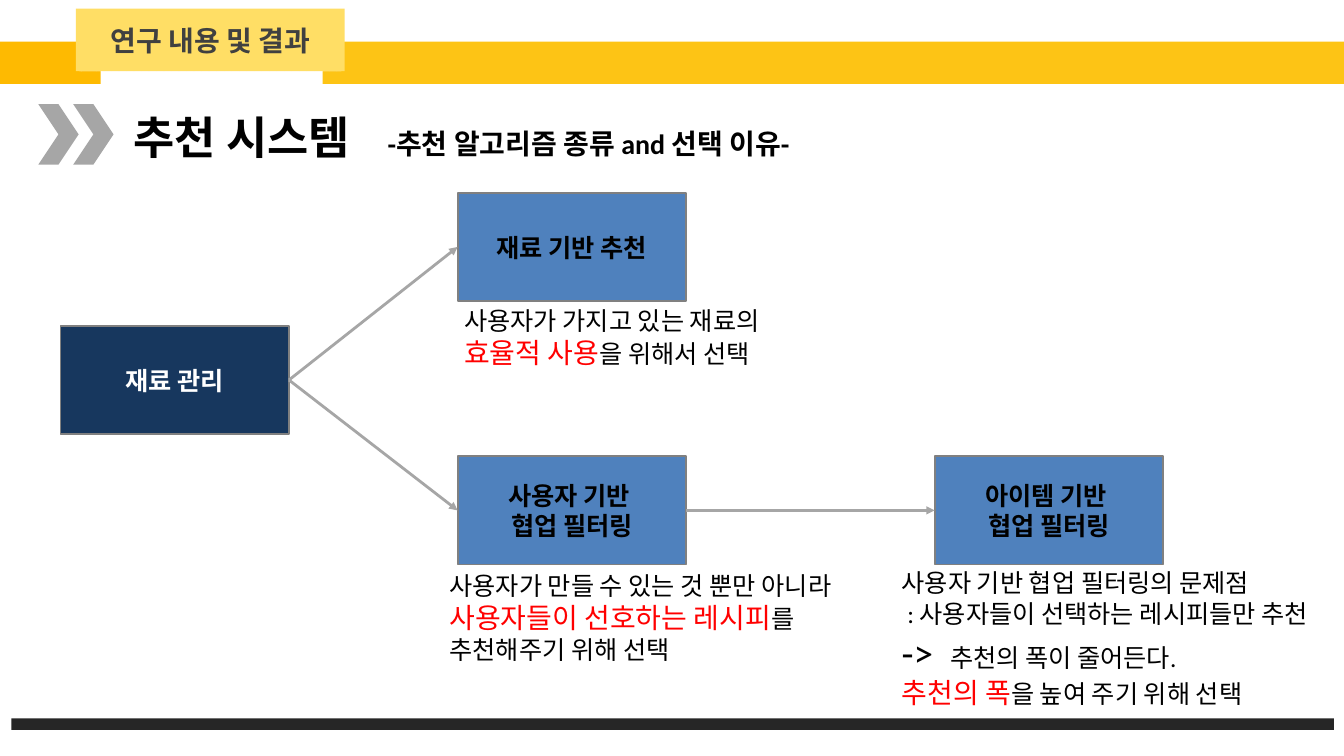
from dataclasses import dataclass

from lxml.etree import SubElement
from pptx import Presentation
from pptx.dml.color import RGBColor
from pptx.enum.dml import MSO_PATTERN_TYPE as Pattern
from pptx.enum.shapes import MSO_CONNECTOR as Connector, MSO_SHAPE as Shape
from pptx.enum.text import MSO_ANCHOR as Anchor, PP_ALIGN as Align
from pptx.oxml.ns import qn
from pptx.util import Inches, Pt

FONT = "Calibri"
BLACK, WHITE, RED = "000000", "FFFFFF", "FF0000"
GREY, BORDER, BLUE, NAVY = "A6A6A6", "808080", "4F81BD", "17375E"
LEFT, RIGHT = 1, 3


@dataclass
class Box:
    left: float
    top: float
    width: float
    height: float

    def lengths(self) -> list:
        return [Inches(v) for v in (self.left, self.top, self.width, self.height)]


@dataclass
class Step:
    label: str
    left: float
    top: float
    fill: str = BLUE
    color: str = BLACK


@dataclass
class Phrase:
    text: str
    size: float = 27
    color: str = BLACK
    bold: bool = False


@dataclass
class Note:
    box: Box
    phrases: list[Phrase]
    tab: float = 0


def rgb(value: str) -> RGBColor:
    return RGBColor.from_string(value)


def set_font(run, size: float, color: str, bold: bool) -> None:
    run.font.name = FONT
    run.font.size = Pt(size)
    run.font.bold = bold
    run.font.color.rgb = rgb(color)


def add_block(shapes, box: Box, fill: str, kind=Shape.RECTANGLE):
    block = shapes.add_shape(kind, *box.lengths())
    block.shadow.inherit = False
    block.fill.solid()
    block.fill.fore_color.rgb = rgb(fill)
    block.line.fill.background()
    return block


def add_label(block, text: str, size: float, color: str) -> None:
    frame = block.text_frame
    frame.word_wrap = True
    frame.vertical_anchor = Anchor.MIDDLE
    label = frame.paragraphs[0]
    label.text = text
    label.alignment = Align.CENTER
    for run in label.runs:
        set_font(run, size, color, True)


def add_step(shapes, step: Step):
    block = add_block(shapes, Box(step.left, step.top, 3.4, 1.61), step.fill)
    block.line.color.rgb = rgb(BORDER)
    block.line.width = Pt(2)
    add_label(block, step.label, 27, step.color)
    return block


def add_arrow(shapes, source, target) -> None:
    arrow = shapes.add_connector(Connector.STRAIGHT, 0, 0, 0, 0)
    arrow.begin_connect(source, RIGHT)
    arrow.end_connect(target, LEFT)
    arrow.line.color.rgb = rgb(GREY)
    arrow.line.width = Pt(3)
    properties = arrow._element.spPr
    SubElement(properties.get_or_add_ln(), qn("a:tailEnd"), type="triangle")
    SubElement(properties, qn("a:effectLst"))


def add_note(shapes, note: Note) -> None:
    frame = shapes.add_textbox(*note.box.lengths()).text_frame
    frame.word_wrap = True
    paragraph = frame.paragraphs[0]
    if note.tab:
        tabs = SubElement(paragraph._p.get_or_add_pPr(), qn("a:tabLst"))
        SubElement(tabs, qn("a:tab"), pos=str(Inches(note.tab)), algn="l")
    for phrase in note.phrases:
        for index, line in enumerate(phrase.text.split("\n")):
            if index:
                paragraph.add_line_break()
            if line:
                run = paragraph.add_run()
                run.text = line
                set_font(run, phrase.size, phrase.color, phrase.bold)


NOTES = [
    Note(Box(1.89, 1.58, 10.79, 0.91), [
        Phrase("추천 시스템\t", 48, bold=True),
        Phrase("-추천 알고리즘 종류 and 선택 이유-", 30, bold=True),
    ], tab=3.78),
    Note(Box(6.81, 4.5, 5.87, 1.51), [
        Phrase("사용자가 가지고 있는 재료의\n"),
        Phrase("효율적 사용", 30, RED),
        Phrase("을 위해서 선택"),
    ]),
    Note(Box(6.59, 8.44, 6.42, 1.97), [
        Phrase("사용자가 만들 수 있는 것 뿐만 아니라\n"),
        Phrase("사용자들이 선호하는 레시피", 30, RED),
        Phrase("를\n추천해주기 위해 선택"),
    ]),
    Note(Box(13.32, 8.4, 6.53, 2.68), [
        Phrase("사용자 기반 협업 필터링의 문제점\n : 사용자들이 선택하는 레시피들만 추천\n"),
        Phrase("->", 42),
        Phrase("\t추천의 폭이 줄어든다.\n"),
        Phrase("추천의 폭", 30, RED),
        Phrase("을 높여 주기 위해 선택"),
    ], tab=0.72),
]


def main() -> None:
    deck = Presentation()
    deck.slide_width, deck.slide_height = Inches(20), Inches(11.25)
    shapes = deck.slides.add_slide(deck.slide_layouts[6]).shapes

    add_block(shapes, Box(4.8, 0.62, 15.2, 0.63), "FDC415")
    add_block(shapes, Box(0, 0.62, 1.5, 0.63), "FEBA01")
    tab_back = add_block(shapes, Box(1.18, 0.31, 3.9, 0.75), WHITE)
    tab_back.fill.patterned()
    tab_back.fill.pattern = Pattern.PERCENT_10
    tab_back.fill.fore_color.rgb = rgb("F2F2F2")
    tab_back.fill.back_color.rgb = rgb(WHITE)
    add_block(shapes, Box(0.17, 10.69, 19.68, 0.17), "262626")
    section = add_block(shapes, Box(1.13, 0.13, 4, 0.93), "FFDE65")
    add_label(section, "연구 내용 및 결과", 30, "404040")

    chevrons = shapes.add_group_shape().shapes
    for left in (1.09, 0.57):
        add_block(chevrons, Box(left, 1.55, 0.6, 0.9), GREY, Shape.CHEVRON)

    management = add_step(shapes, Step("재료 관리", 0.9, 4.85, NAVY, WHITE))
    by_ingredient = add_step(shapes, Step("재료 기반 추천", 6.81, 2.87))
    by_user = add_step(shapes, Step("사용자 기반 \n협업 필터링", 6.81, 6.79))
    by_item = add_step(shapes, Step("아이템 기반 \n협업 필터링", 13.91, 6.79))
    add_arrow(shapes, management, by_ingredient)
    add_arrow(shapes, management, by_user)
    add_arrow(shapes, by_user, by_item)

    for note in NOTES:
        add_note(shapes, note)

    deck.save("out.pptx")


if __name__ == "__main__":
    main()
